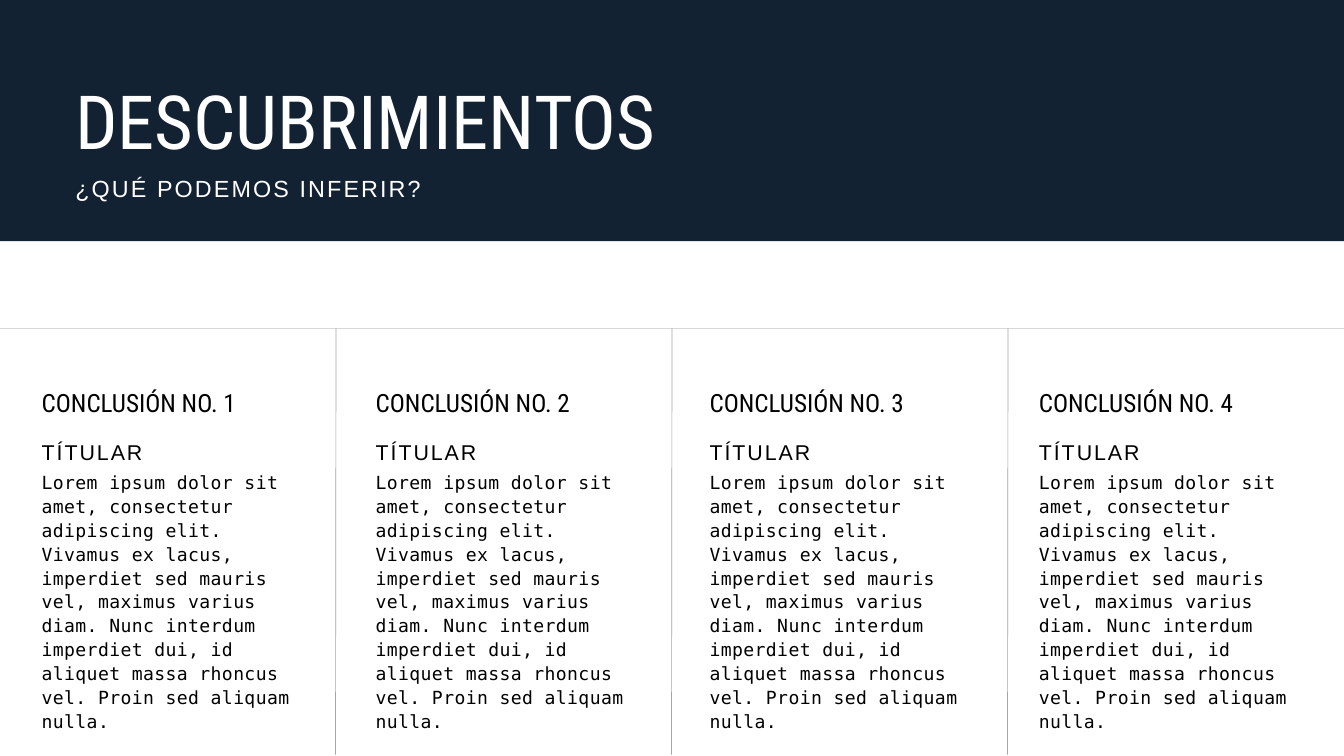
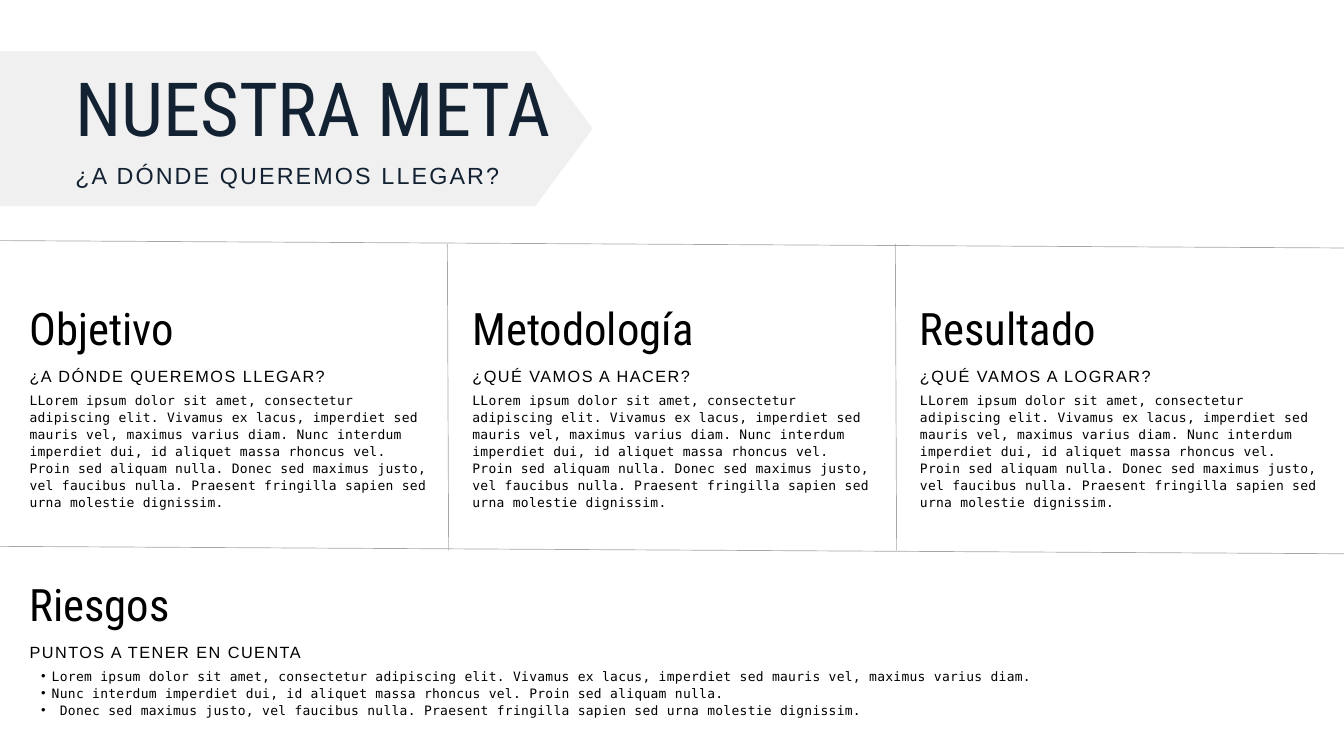
"""Build the findings slide and the goal slide."""
from lxml.etree import SubElement
from pptx import Presentation
from pptx.dml.color import RGBColor
from pptx.enum.shapes import MSO_CONNECTOR, MSO_SHAPE
from pptx.enum.text import MSO_ANCHOR, MSO_AUTO_SIZE, PP_ALIGN
from pptx.oxml.ns import qn
from pptx.util import Pt

NAVY = RGBColor(0x13, 0x22, 0x32)
WHITE = RGBColor(0xFF, 0xFF, 0xFF)
BLACK = RGBColor(0, 0, 0)
LIGHT_GRAY = RGBColor(0xD9, 0xD9, 0xD9)
GRAY = RGBColor(0xA6, 0xA6, 0xA6)

WIDTH, HEIGHT = 1440, 810
TITLE_LEFT = 80.64
TITLE_ONLY, TITLE_AND_CONTENT = 5, 1

TITLE = dict(font="Roboto Condensed", size=80, line=92)
SUBTITLE = dict(font="Arial", size=25, line=36.2, spacing=2.3)
CONCLUSION = dict(font="Roboto Condensed", size=26.9, line=30.9)
HEADLINE = dict(font="Arial", size=22.9, line=33.1, spacing=2.1)
FINDING = dict(font="DejaVu Sans Mono", size=19.4, line=25.5, spacing=0.4)
SECTION = dict(font="Roboto Condensed", size=47.9, line=55.1)
QUESTION = dict(font="Arial", size=17.4, line=25.2, spacing=1.6)
DETAIL = dict(font="DejaVu Sans Mono", size=13.9, line=18.2, spacing=0.3)

FINDINGS_TITLE = ("DESCUBRIMIENTOS", "¿QUÉ PODEMOS INFERIR?")
FINDING_TEXT = (
    "Lorem ipsum dolor sit amet, consectetur adipiscing elit. Vivamus ex lacus, "
    "imperdiet sed mauris vel, maximus varius diam. Nunc interdum imperdiet dui, "
    "id aliquet massa rhoncus vel. Proin sed aliquam nulla."
)
CONCLUSIONS = [
    (44.64, "CONCLUSIÓN NO. 1", "TÍTULAR", FINDING_TEXT),
    (402.48, "CONCLUSIÓN NO. 2", "TÍTULAR", FINDING_TEXT),
    (760.32, "CONCLUSIÓN NO. 3", "TÍTULAR", FINDING_TEXT),
    (1113.12, "CONCLUSIÓN NO. 4", "TÍTULAR", FINDING_TEXT),
]

GOAL_TITLE = ("NUESTRA META", "¿A DÓNDE QUEREMOS LLEGAR?")
DETAIL_TEXT = (
    f"L{FINDING_TEXT} Donec sed maximus justo, vel faucibus nulla. "
    "Praesent fringilla sapien sed urna molestie dignissim."
)
GOALS = [
    (31.68, "Objetivo", "¿A DÓNDE QUEREMOS LLEGAR?"),
    (506.16, "Metodología", "¿QUÉ VAMOS A HACER?"),
    (985.68, "Resultado", "¿QUÉ VAMOS A LOGRAR?"),
]
RISKS_HEADING = ("Riesgos", "PUNTOS A TENER EN CUENTA")
RISKS = [
    "Lorem ipsum dolor sit amet, consectetur adipiscing elit. Vivamus ex lacus, "
    "imperdiet sed mauris vel, maximus varius diam.",
    "Nunc interdum imperdiet dui, id aliquet massa rhoncus vel. Proin sed aliquam nulla.",
    " Donec sed maximus justo, vel faucibus nulla. Praesent fringilla sapien sed urna "
    "molestie dignissim.",
]


def add_bullet(paragraph):
    """Give the paragraph a round bullet with a hanging indent."""
    properties = paragraph._p.get_or_add_pPr()
    properties.set("marL", str(Pt(23.76)))
    properties.set("indent", str(Pt(-11.52)))
    SubElement(properties, qn("a:buFont")).set("typeface", "Arial")
    SubElement(properties, qn("a:buChar")).set("char", "•")


def write_text(slide, box, *texts, font, size, line, spacing=0, color=BLACK,
               placeholder=None, bullets=False):
    """Write one paragraph per text in a text box or a moved placeholder."""
    left, top, width, height = (Pt(value) for value in box)
    if placeholder is None:
        shape = slide.shapes.add_textbox(left, top, width, height)
    else:
        shape = placeholder
        shape.left, shape.top, shape.width, shape.height = left, top, width, height
        slide.shapes.element.append(shape.element)
    frame = shape.text_frame
    frame.margin_left = frame.margin_top = frame.margin_right = frame.margin_bottom = 0
    frame.vertical_anchor = MSO_ANCHOR.TOP
    frame.word_wrap = True
    frame.auto_size = MSO_AUTO_SIZE.SHAPE_TO_FIT_TEXT
    for index, text in enumerate(texts):
        paragraph = frame.add_paragraph() if index else frame.paragraphs[0]
        if bullets:
            paragraph.level = 1
            add_bullet(paragraph)
        paragraph.alignment = PP_ALIGN.LEFT
        paragraph.space_before = Pt(0)
        paragraph.line_spacing = Pt(line)
        run = paragraph.add_run()
        run.text = text
        run.font.name = font
        run.font.size = Pt(size)
        run.font.color.rgb = color
        run._r.get_or_add_rPr().set("spc", str(round(spacing * 100)))


def add_line(slide, start, end, color=GRAY):
    """Draw a thin straight rule."""
    connector = slide.shapes.add_connector(
        MSO_CONNECTOR.STRAIGHT, *(Pt(value) for value in (*start, *end)))
    connector.line.color.rgb = color
    connector.line.width = Pt(0.75)
    SubElement(connector.element.spPr, qn("a:effectLst"))


def add_band(slide, kind, box, color):
    """Draw a plain filled band behind the title."""
    band = slide.shapes.add_shape(kind, *(Pt(value) for value in box))
    band.shadow.inherit = False
    band.fill.solid()
    band.fill.fore_color.rgb = color
    band.line.fill.background()
    return band


def add_title(slide, texts, title_top, subtitle_top, color):
    """Write the slide title and the line below it."""
    title, subtitle = texts
    write_text(slide, (TITLE_LEFT, title_top, 1031.76, 92), title, color=color,
               placeholder=slide.shapes.title, **TITLE)
    write_text(slide, (TITLE_LEFT, subtitle_top, 624, 35.28), subtitle, color=color, **SUBTITLE)


def add_section(slide, left, top, width, heading, question, *details, **options):
    """Stack a heading, its question and the details."""
    write_text(slide, (left, top, width, 56), heading, **SECTION)
    write_text(slide, (left, top + 63.36, width, 24), question, **QUESTION)
    write_text(slide, (left, top + 94.5, width, 18.2 * len(details)), *details,
               **DETAIL, **options)


def build_findings(presentation):
    """Show the four conclusions side by side."""
    slide = presentation.slides.add_slide(presentation.slide_layouts[TITLE_ONLY])
    add_band(slide, MSO_SHAPE.RECTANGLE, (0, 0, WIDTH, 258.5), NAVY)
    add_title(slide, FINDINGS_TITLE, 84.24, 180, WHITE)
    rule_top = 351.4
    add_line(slide, (0, rule_top), (WIDTH, rule_top), LIGHT_GRAY)
    column = WIDTH / len(CONCLUSIONS)
    for index, (left, conclusion, headline, finding) in enumerate(CONCLUSIONS):
        if index:
            add_line(slide, (column * index - 0.5, 808.6), (column * index, rule_top))
        write_text(slide, (left, 416.88, 275, 30.24), conclusion, **CONCLUSION)
        write_text(slide, (left, 465.12, 257, 32.4), headline, **HEADLINE)
        write_text(slide, (left, 503.28, 275, 201.6), finding, **FINDING)


def build_goal(presentation):
    """Show the goal in three columns with the risks below."""
    slide = presentation.slides.add_slide(presentation.slide_layouts[TITLE_AND_CONTENT])
    for top in (257.8, 585.4):
        add_line(slide, (0, top), (WIDTH, top + 7.9))
    arrow = add_band(slide, MSO_SHAPE.PENTAGON, (0, 54.9, 635, 166), LIGHT_GRAY)
    arrow.adjustments[0] = 0.37
    fill_color = arrow.element.spPr.find(qn("a:solidFill"))[0]
    SubElement(fill_color, qn("a:alpha")).set("val", "37000")
    add_title(slide, GOAL_TITLE, 69.84, 166.32, NAVY)
    column = WIDTH / len(GOALS)
    for index, (left, heading, question) in enumerate(GOALS):
        if index:
            add_line(slide, (column * index + 0.7, 589.7), (column * index - 0.7, 261.4))
        add_section(slide, left, 324.72, 427.68, heading, question, DETAIL_TEXT)
    add_section(slide, GOALS[0][0], 619.92, 1359.36, *RISKS_HEADING, *RISKS,
                placeholder=slide.placeholders[1], bullets=True)


def main():
    """Build and save both slides."""
    presentation = Presentation()
    presentation.slide_width, presentation.slide_height = Pt(WIDTH), Pt(HEIGHT)
    build_findings(presentation)
    build_goal(presentation)
    presentation.save("out.pptx")


if __name__ == "__main__":
    main()
